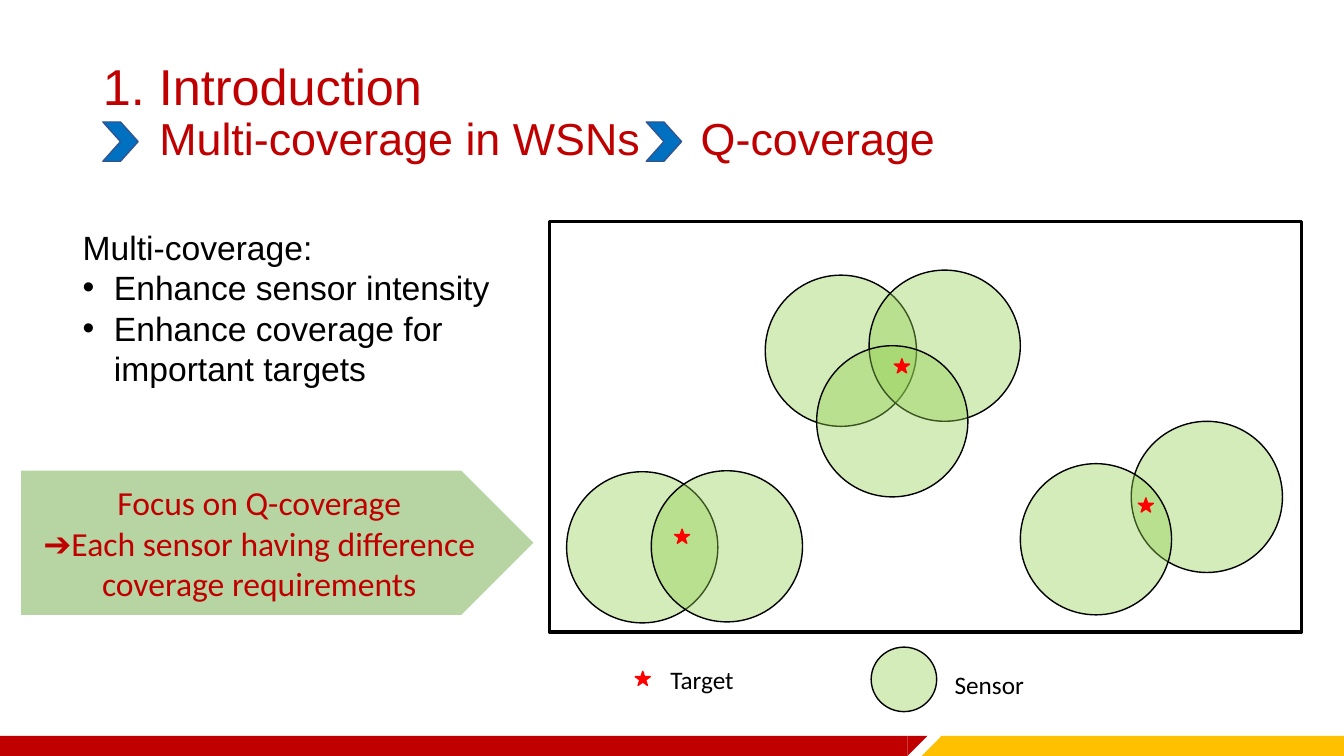
from lxml.etree import SubElement
from pptx import Presentation
from pptx.dml.color import RGBColor
from pptx.enum.shapes import MSO_SHAPE
from pptx.enum.text import MSO_ANCHOR, MSO_AUTO_SIZE, PP_ALIGN
from pptx.oxml.ns import qn
from pptx.util import Emu, Pt

PX = 9144  # 100 px to the inch
RED, GOLD, BLACK = "C00000", "FFC000", "000000"
STAR_RED, SENSOR_GREEN = "FF0000", "92D050"
SENSOR_SIZE = 150
STAR_WIDTH, STAR_HEIGHT = 15, 14


def px(length):
    return Emu(length * PX)


def colour(hex_code):
    return RGBColor.from_string(hex_code)


def place(shape, left, top, width, height):
    shape.left, shape.top = px(left), px(top)
    shape.width, shape.height = px(width), px(height)


def add_run(paragraph, text, size, font, hex_code):
    run = paragraph.add_run()
    run.text = text
    run.font.size = Pt(size)
    run.font.name = font
    run.font.color.rgb = colour(hex_code)


def add_figure(slide, preset, box, fill=None, line=None, line_width=1, opacity=100):
    """Add a preset shape; opacity is a percentage."""
    figure = slide.shapes.add_shape(preset, *map(px, box))
    figure.shadow.inherit = False
    if fill:
        figure.fill.solid()
        figure.fill.fore_color.rgb = colour(fill)
        if opacity < 100:
            tint = figure.fill._xPr.find(qn("a:solidFill"))[0]
            SubElement(tint, qn("a:alpha"), val=str(opacity * 1000))
    else:
        figure.fill.background()
    if line:
        figure.line.color.rgb = colour(line)
        figure.line.width = Pt(line_width)
    else:
        figure.line.fill.background()
    return figure


def add_sensor(slide, left, top, width=SENSOR_SIZE, height=SENSOR_SIZE):
    add_figure(slide, MSO_SHAPE.OVAL, (left, top, width, height),
               SENSOR_GREEN, BLACK, opacity=40)


def add_target(slide, left, top):
    add_figure(slide, MSO_SHAPE.STAR_5_POINT, (left, top, STAR_WIDTH, STAR_HEIGHT),
               STAR_RED, STAR_RED)


def add_footer_band(slide, left, top, width, height):
    red_width, gold_width = 900, 400
    gold_left = left + width - gold_width
    for hex_code, bar_left, bar_width, corner_left, angle in (
        (RED, left, red_width, left + red_width, 90),
        (GOLD, gold_left, gold_width, gold_left - height + 1, 270),
    ):
        add_figure(slide, MSO_SHAPE.RECTANGLE, (bar_left, top, bar_width, height), hex_code)
        corner = add_figure(slide, MSO_SHAPE.RIGHT_TRIANGLE,
                            (corner_left, top, height, height), hex_code)
        corner.rotation = angle


def fill_heading(slide, left, top, width, height):
    title = slide.shapes.title
    place(title, left, top, width, height)
    frame = title.text_frame
    frame.vertical_anchor = MSO_ANCHOR.MIDDLE
    frame.auto_size = MSO_AUTO_SIZE.NONE
    section, topics = frame.paragraphs[0], frame.add_paragraph()
    for paragraph in (section, topics):
        paragraph.alignment = PP_ALIGN.LEFT
        paragraph.line_spacing = 0.9
        paragraph.space_before = Pt(0)
    add_run(section, "1. Introduction", 36, "Arial", RED)
    add_run(topics, "\tMulti-coverage in WSNs\tQ-coverage", 32, "Arial", RED)
    stops = SubElement(topics._p.get_or_add_pPr(), qn("a:tabLst"))
    for position in (56, 593):
        SubElement(stops, qn("a:tab"), pos=str(px(position)), algn="l")
    for offset in (10, 549):
        add_figure(slide, MSO_SHAPE.CHEVRON, (left + offset, top + 81, 35, 39),
                   "0070C0", "325491")


def fill_benefits(slide, left, top, width, height):
    body = slide.placeholders[1]
    place(body, left, top, width, height)
    frame = body.text_frame
    frame.auto_size = MSO_AUTO_SIZE.NONE
    for index, (text, bulleted) in enumerate((
        ("Multi-coverage:", False),
        ("Enhance sensor intensity", True),
        ("Enhance coverage for important targets", True),
    )):
        paragraph = frame.add_paragraph() if index else frame.paragraphs[0]
        paragraph.space_before = Pt(0)
        indent = px(31) if bulleted else 0
        properties = paragraph._p.get_or_add_pPr()
        properties.set("marL", str(indent))
        properties.set("indent", str(-indent))
        if bulleted:
            SubElement(properties, qn("a:buFont"), typeface="Arial")
            SubElement(properties, qn("a:buChar"), char="•")
        else:
            SubElement(properties, qn("a:buNone"))
        add_run(paragraph, text, 24, "Arial", BLACK)


def add_focus_arrow(slide, *box):
    arrow = add_figure(slide, MSO_SHAPE.PENTAGON, box, "70AD47", opacity=50)
    frame = arrow.text_frame
    frame.word_wrap = True
    frame.vertical_anchor = MSO_ANCHOR.MIDDLE
    for index, text in enumerate((
        "Focus on Q-coverage",
        "➔Each sensor having difference coverage requirements",
    )):
        paragraph = frame.add_paragraph() if index else frame.paragraphs[0]
        paragraph.alignment = PP_ALIGN.CENTER
        add_run(paragraph, text, 24, "Calibri", RED)


def add_coverage_field(slide, left, top, width, height):
    for x, y in ((214, 53), (317, 48), (265, 123), (577, 198),
                 (467, 240), (17, 248), (101, 247)):
        add_sensor(slide, left + x, top + y)
    for x, y in ((342, 136), (124, 305), (584, 274)):
        add_target(slide, left + x, top + y)
    add_figure(slide, MSO_SHAPE.RECTANGLE, (left, top, width, height),
               line=BLACK, line_width=2.25)


def add_legend(slide, left, top):
    add_target(slide, left, top + 24)
    add_sensor(slide, left + 234, top, 65, 64)
    for text, x, y, width in (("Target", 25, 12, 84), ("Sensor", 307, 17, 90)):
        label = slide.shapes.add_textbox(px(left + x), px(top + y), px(width), px(40))
        label.text_frame.word_wrap = False
        add_run(label.text_frame.paragraphs[0], text, 18, "Calibri", BLACK)


def main():
    deck = Presentation()
    deck.slide_width, deck.slide_height = px(1333), px(750)
    slide = deck.slides.add_slide(deck.slide_layouts[1])
    add_footer_band(slide, 0, 730, 1333, 20)
    fill_heading(slide, 92, 40, 1150, 145)
    add_coverage_field(slide, 545, 220, 746, 407)
    fill_benefits(slide, 72, 220, 473, 242)
    add_focus_arrow(slide, 21, 467, 508, 143)
    add_legend(slide, 630, 642)
    deck.save("out.pptx")


if __name__ == "__main__":
    main()
